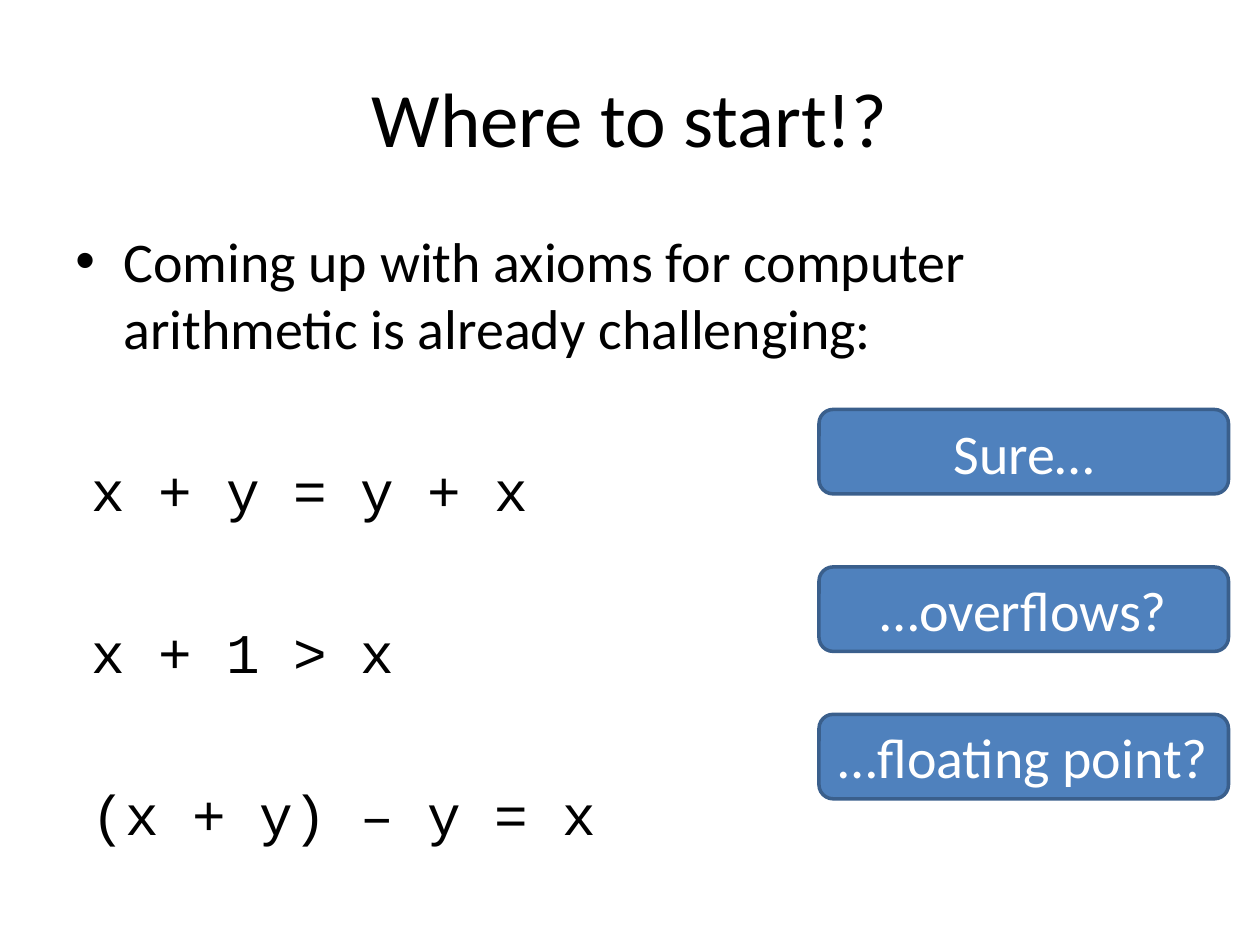
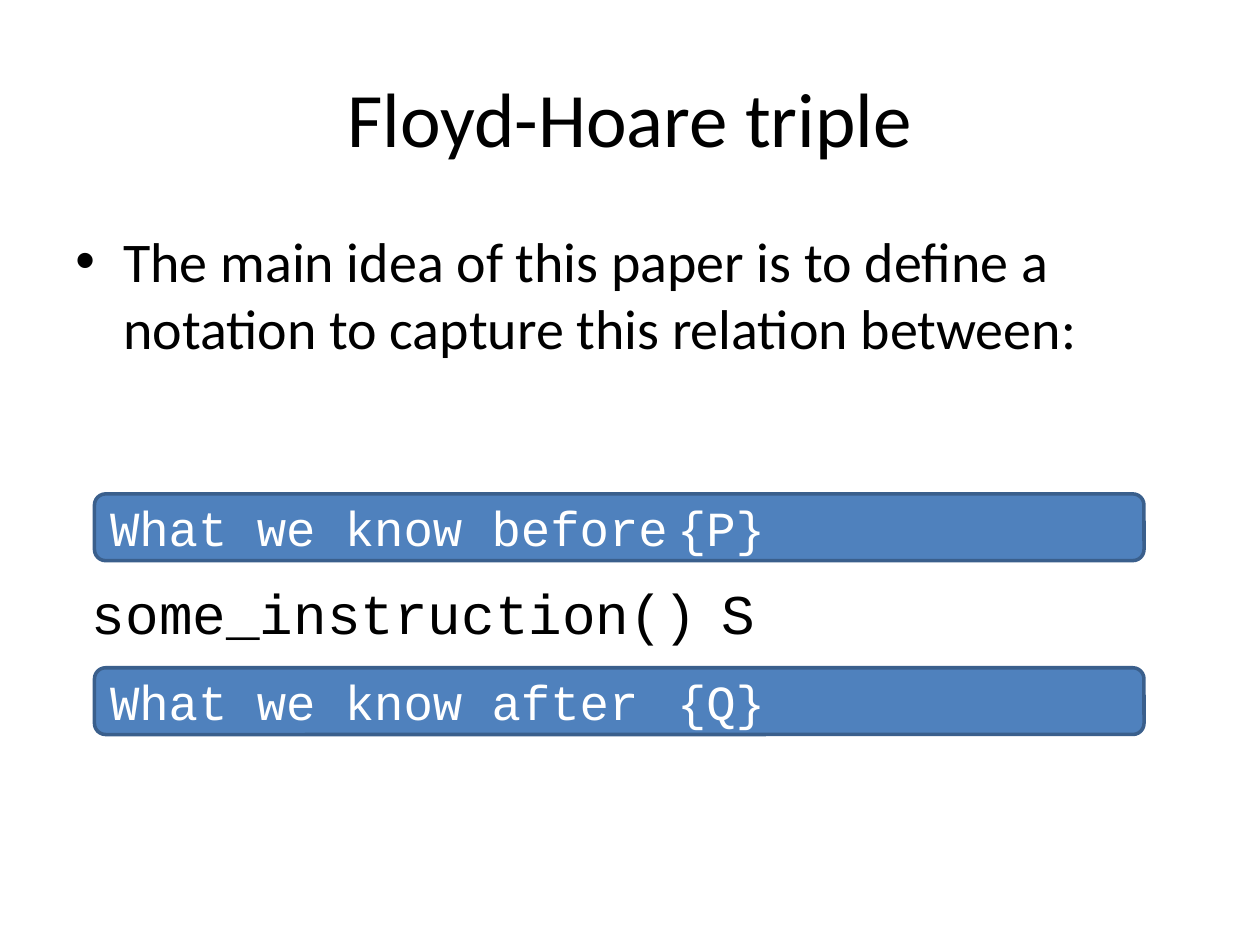
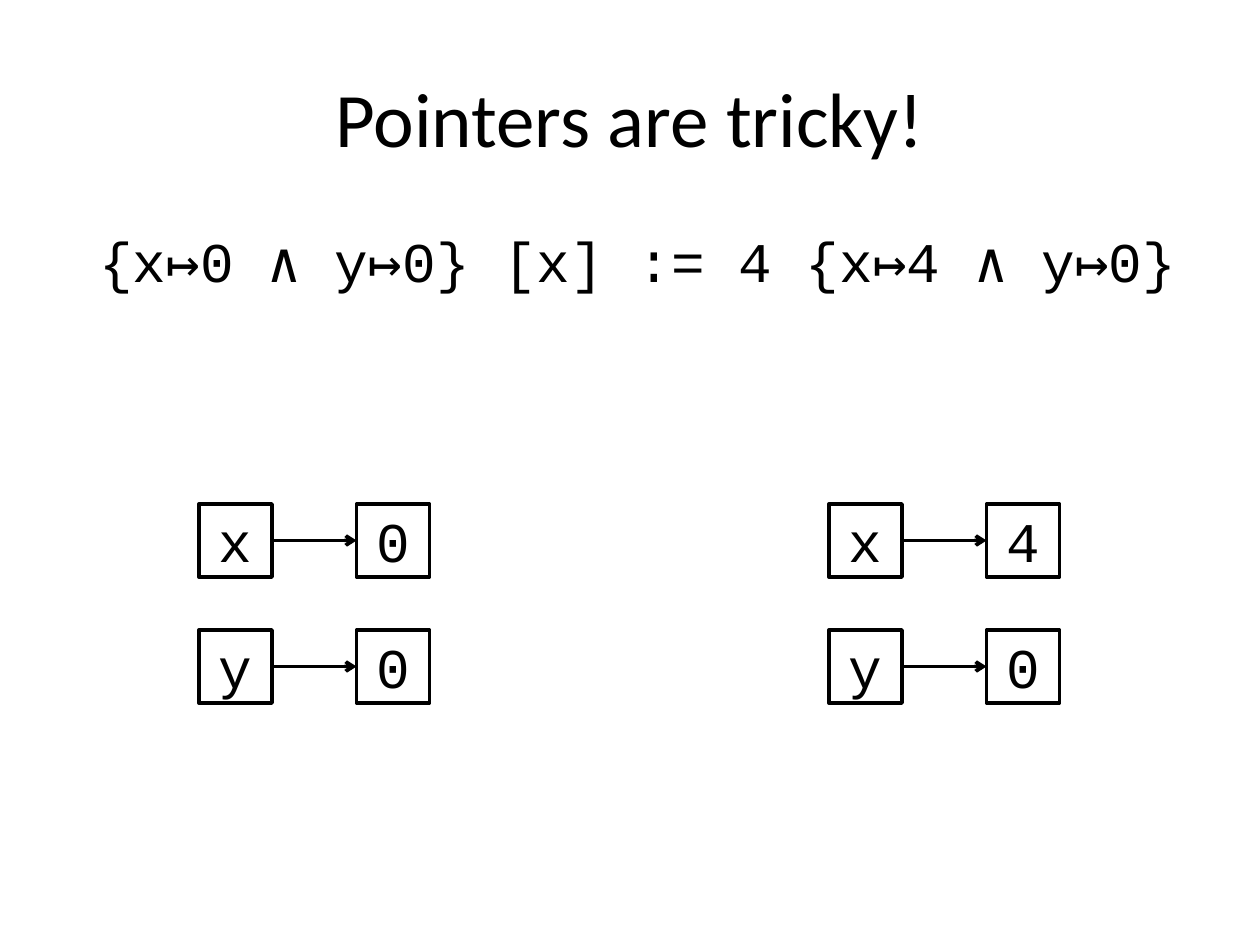
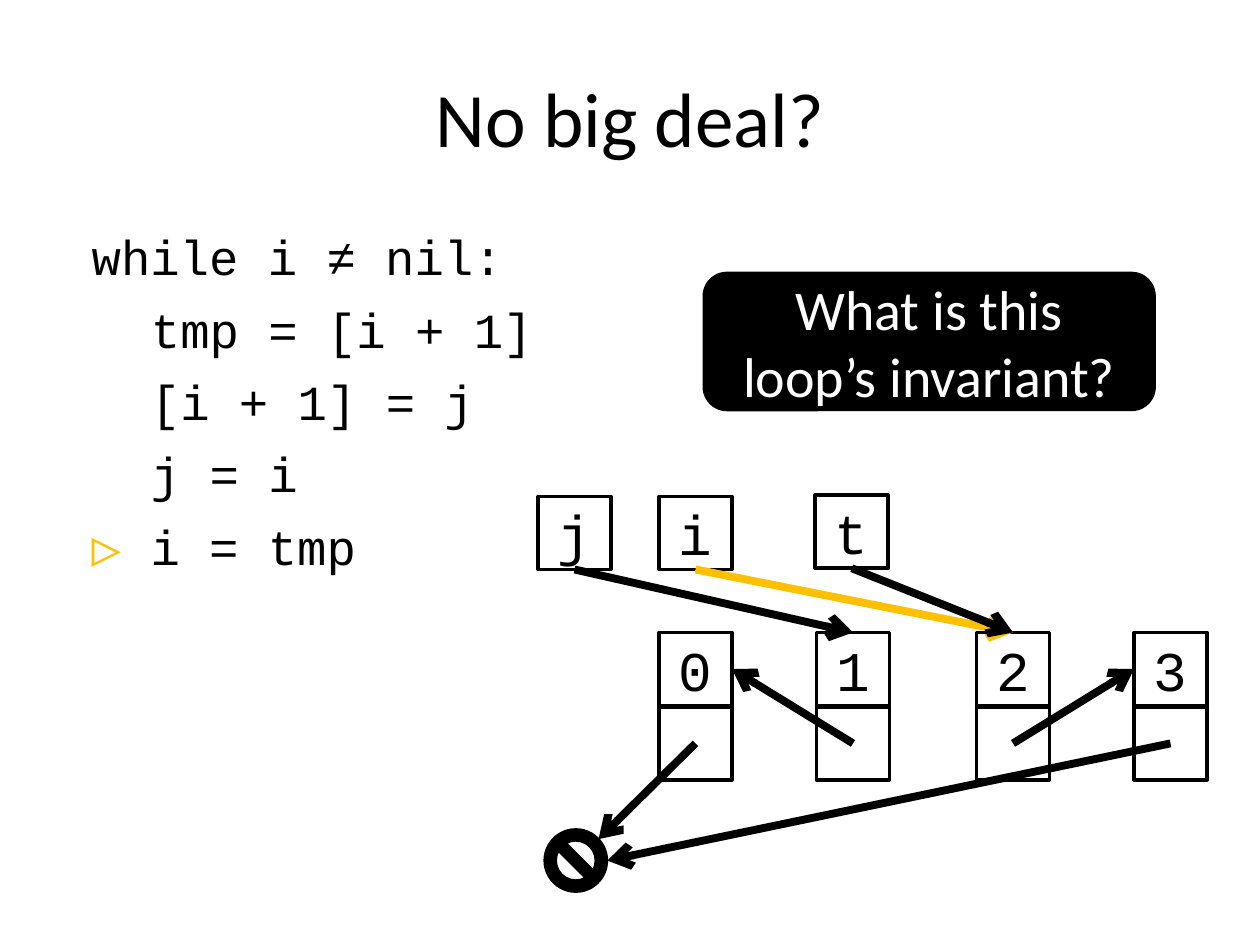
from dataclasses import dataclass
from typing import Any

from lxml import etree
from pptx import Presentation
from pptx.dml.color import RGBColor
from pptx.enum.shapes import MSO_CONNECTOR, MSO_SHAPE
from pptx.enum.text import MSO_ANCHOR, PP_ALIGN
from pptx.oxml.ns import qn
from pptx.util import Inches, Pt

LEFT, CENTER = PP_ALIGN.LEFT, PP_ALIGN.CENTER
TOP, MIDDLE = MSO_ANCHOR.TOP, MSO_ANCHOR.MIDDLE
RECTANGLE, ROUNDED, NO_SMOKING = MSO_SHAPE.RECTANGLE, MSO_SHAPE.ROUNDED_RECTANGLE, MSO_SHAPE.NO_SYMBOL
STRAIGHT = MSO_CONNECTOR.STRAIGHT
TITLE_ONLY = 5
SITE_TOP, SITE_LEFT, SITE_BOTTOM, SITE_RIGHT = range(4)


@dataclass(frozen=True)
class Theme:
    sans: str = "Calibri"
    mono: str = "Courier New"
    black: str = "000000"
    white: str = "FFFFFF"
    blue: str = "4F81BD"
    blue_edge: str = "3A5F8C"
    amber: str = "FFC000"
    title_size: float = 44
    text_size: float = 32
    code_size: float = 28
    outline: float = 2
    pointer: float = 4.5
    code_spacing: float = 7.7


THEME = Theme()
CELL = 0.58
BODY = (0.5, 1.75, 9, 4.95)


@dataclass(frozen=True)
class Run:
    text: str
    font: str = THEME.mono
    size: float = THEME.text_size
    color: str = THEME.black


@dataclass(frozen=True)
class Line:
    runs: tuple[Run, ...]
    align: Any = LEFT
    indent: float = 0.13
    hanging: float = 0
    before: float = 0
    bullet: str = ""
    tab: float = 0


@dataclass(frozen=True)
class Box:
    left: float
    top: float
    width: float = CELL
    height: float = CELL
    line: Line | None = None
    kind: Any = RECTANGLE
    fill: str = THEME.white
    edge: str = THEME.black
    edge_width: float = THEME.outline

    @property
    def center(self) -> tuple[float, float]:
        return self.left + self.width / 2, self.top + self.height / 2


@dataclass(frozen=True)
class Arrow:
    start: tuple[float, float]
    end: tuple[float, float]
    start_join: tuple[Any, int] | None = None
    end_join: tuple[Any, int] | None = None
    color: str = THEME.black
    width: float = THEME.pointer


def apply_format(target: Any, values: dict[str, Any]) -> None:
    for name, value in values.items():
        setattr(target, name, value)


def write_line(paragraph: Any, line: Line) -> None:
    apply_format(paragraph, {"alignment": line.align, "space_before": Pt(line.before)})
    properties = paragraph._p.get_or_add_pPr()
    properties.set("marL", str(Inches(line.indent)))
    properties.set("indent", str(Inches(line.hanging)))
    if line.bullet:
        etree.SubElement(properties, qn("a:buFont"), typeface="Arial")
        etree.SubElement(properties, qn("a:buChar"), char=line.bullet)
    if line.tab:
        tabs = etree.SubElement(properties, qn("a:tabLst"))
        etree.SubElement(tabs, qn("a:tab"), pos=str(Inches(line.tab)), algn="l")
    for item in line.runs:
        run = paragraph.add_run()
        run.text = item.text
        apply_format(run.font, {"name": item.font, "size": Pt(item.size)})
        run.font.color.rgb = RGBColor.from_string(item.color)


def write_lines(frame: Any, lines: list[Line], anchor: Any) -> None:
    apply_format(frame, {"word_wrap": True, "vertical_anchor": anchor})
    for index, line in enumerate(lines):
        write_line(frame.add_paragraph() if index else frame.paragraphs[0], line)


def place(left: float, top: float, width: float, height: float) -> dict[str, Any]:
    return dict(left=Inches(left), top=Inches(top), width=Inches(width), height=Inches(height))


def add_titled_slide(presentation: Any, title: str) -> Any:
    slide = presentation.slides.add_slide(presentation.slide_layouts[TITLE_ONLY])
    shape = slide.shapes.title
    apply_format(shape, place(0.5, 0.3, 9, 1.25))
    run = Run(title, THEME.sans, THEME.title_size)
    write_lines(shape.text_frame, [Line((run,), CENTER, 0)], MIDDLE)
    return slide


def add_text(slide: Any, area: tuple[float, float, float, float], lines: list[Line]) -> Any:
    shape = slide.shapes.add_textbox(**place(*area))
    write_lines(shape.text_frame, lines, TOP)
    return shape


def add_box(slide: Any, box: Box) -> Any:
    shape = slide.shapes.add_shape(box.kind, **place(box.left, box.top, box.width, box.height))
    shape.shadow.inherit = False
    shape.fill.solid()
    shape.fill.fore_color.rgb = RGBColor.from_string(box.fill)
    shape.line.color.rgb = RGBColor.from_string(box.edge)
    shape.line.width = Pt(box.edge_width)
    if box.line:
        write_lines(shape.text_frame, [box.line], MIDDLE)
    return shape


def add_arrow(slide: Any, arrow: Arrow) -> None:
    points = [Inches(value) for value in (*arrow.start, *arrow.end)]
    connector = slide.shapes.add_connector(STRAIGHT, *points)
    if arrow.start_join:
        connector.begin_connect(*arrow.start_join)
    if arrow.end_join:
        connector.end_connect(*arrow.end_join)
    connector.line.color.rgb = RGBColor.from_string(arrow.color)
    connector.line.width = Pt(arrow.width)
    etree.SubElement(connector.line._get_or_add_ln(), qn("a:tailEnd"), type="arrow")
    etree.SubElement(connector._element.spPr, qn("a:effectLst"))


def bullet_line(text: str) -> Line:
    return Line((Run(text, THEME.sans),), indent=0.38, hanging=-0.38, bullet="•")


def cell_box(left: float, top: float, text: str = "") -> Box:
    line = Line((Run(text),), CENTER, 0) if text else None
    return Box(left, top, line=line)


def blue_box(left: float, top: float, width: float, height: float, line: Line) -> Box:
    return Box(left, top, width, height, line, ROUNDED, THEME.blue, THEME.blue_edge)


def build_axioms(presentation: Any) -> None:
    slide = add_titled_slide(presentation, "Where to start!?")
    axioms = ("x + y = y + x", "x + 1 > x", "(x + y) – y = x")
    intro = bullet_line("Coming up with axioms for computer arithmetic is already challenging:")
    add_text(slide, BODY, [intro, *(Line((Run(axiom),), before=54) for axiom in axioms)])
    for top, doubt in ((3.25, "Sure…"), (4.5, "…overflows?"), (5.67, "…floating point?")):
        line = Line((Run(doubt, THEME.sans, color=THEME.white),), CENTER, 0)
        add_box(slide, blue_box(6.5, top, 3.25, 0.67, line))


def build_triple(presentation: Any) -> None:
    slide = add_titled_slide(presentation, "Floyd-Hoare triple")
    intro = "The main idea of this paper is to define a notation to capture this relation between:"
    add_text(slide, BODY, [bullet_line(intro)])
    instruction = Line((Run("some_instruction()\tS"),), indent=0, tab=7.47)
    shape = add_text(slide, (0.5, 3.25, 9, 3.45), [instruction])
    apply_format(shape.text_frame, {"margin_left": Inches(0.23), "margin_top": Inches(1.34)})
    for top, condition in ((3.92, "What we know before\t{P}"), (5.3, "What we know after\t{Q}")):
        run = Run(condition, size=THEME.code_size, color=THEME.white)
        add_box(slide, blue_box(0.75, top, 8.33, 0.53, Line((run,), indent=0, tab=7)))


def build_pointers(presentation: Any) -> None:
    slide = add_titled_slide(presentation, "Pointers are tricky!")
    add_text(slide, BODY, [Line((Run("{x↦0 ∧ y↦0} [x] := 4 {x↦4 ∧ y↦0}"),), CENTER)])
    for left, state in ((1.58, {"x": "0", "y": "0"}), (6.58, {"x": "4", "y": "0"})):
        for row, (name, value) in enumerate(state.items()):
            name_box = cell_box(left, 4 + row, name)
            value_box = cell_box(left + 1.25, 4 + row, value)
            joins = (add_box(slide, name_box), SITE_RIGHT), (add_box(slide, value_box), SITE_LEFT)
            add_arrow(slide, Arrow(name_box.center, value_box.center, *joins, width=THEME.outline))


def build_loop(presentation: Any) -> None:
    slide = add_titled_slide(presentation, "No big deal?")
    size = THEME.code_size
    code = [(0.13, "while i ≠ nil:"), (0.6, "tmp = [i + 1]"), (0.6, "[i + 1] = j"), (0.6, "j = i")]
    spacing = THEME.code_spacing
    lines = [Line((Run(text, size=size),), indent=indent, before=spacing if row else 0)
             for row, (indent, text) in enumerate(code)]
    current = (Run("▷ ", size=size, color=THEME.amber), Run("i = tmp", size=size))
    add_text(slide, BODY, [*lines, Line(current, before=spacing)])

    boxes = {"j": cell_box(4.27, 3.94, "j"), "i": cell_box(5.23, 3.94, "i"),
             "t": cell_box(6.47, 3.93, "t")}
    links = []
    for index, left in enumerate((5.23, 6.48, 7.75, 9)):
        boxes[str(index)] = cell_box(left, 5.02, str(index))
        links.append(cell_box(left, 5.61))
    shapes = {name: add_box(slide, box) for name, box in boxes.items()}
    for link in links:
        add_box(slide, link)

    nil_box = Box(4.32, 6.58, 0.5, 0.5, kind=NO_SMOKING, fill=THEME.black, edge_width=1)
    add_arrow(slide, Arrow(links[0].center, (4.75, 6.66)))
    for source, target, site in ((1, "0", SITE_RIGHT), (2, "3", SITE_LEFT)):
        start, end = links[source].center, boxes[target].center
        add_arrow(slide, Arrow(start, end, end_join=(shapes[target], site)))
    add_arrow(slide, Arrow(links[3].center, (4.82, 6.83)))
    for name, target, color in (("i", "2", THEME.amber), ("j", "1", THEME.black), ("t", "2", THEME.black)):
        joins = (shapes[name], SITE_BOTTOM), (shapes[target], SITE_TOP)
        add_arrow(slide, Arrow(boxes[name].center, boxes[target].center, *joins, color=color))
    add_box(slide, nil_box)

    question = Run("What is this loop’s invariant?", THEME.sans, color=THEME.white)
    add_box(slide, Box(5.59, 2.17, 3.57, 1.08, Line((question,), CENTER, 0), ROUNDED, THEME.black))


def main() -> None:
    presentation = Presentation()
    apply_format(presentation, {"slide_width": Inches(10), "slide_height": Inches(7.5)})
    for build in (build_axioms, build_triple, build_pointers, build_loop):
        build(presentation)
    presentation.save("out.pptx")


if __name__ == "__main__":
    main()
